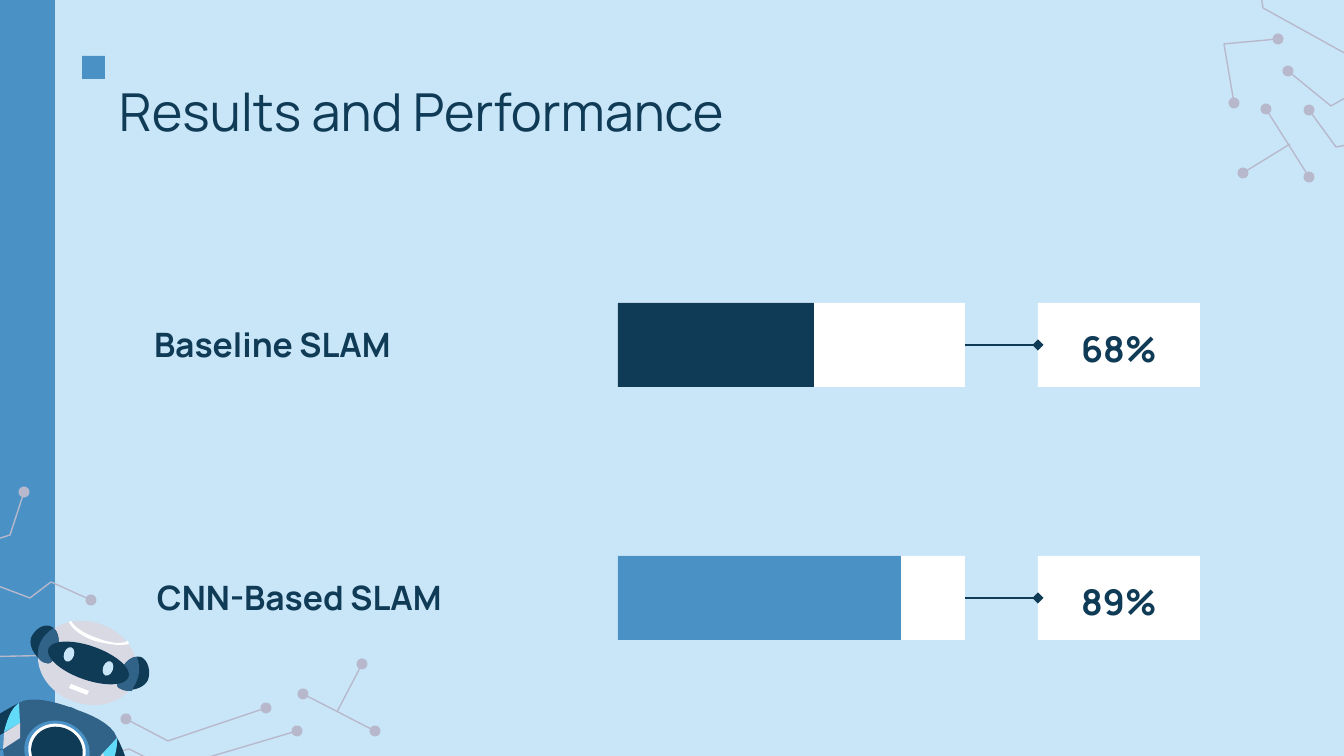
from lxml.etree import SubElement
from pptx import Presentation
from pptx.dml.color import RGBColor
from pptx.enum.shapes import MSO_CONNECTOR, MSO_SHAPE
from pptx.enum.text import MSO_ANCHOR, PP_ALIGN
from pptx.oxml.ns import qn
from pptx.util import Pt

EMU_PER_PX = 914400 / 134.4
NAVY, BLUE, STEEL, CYAN = "103B57", "4A91C6", "316388", "61DBF8"
PALE, GREY, TRACE, WHITE = "C9E6F8", "D9D9E4", "B8B8CC", "FFFFFF"
TILT = 19.4

# Each circuit trace: its points in px and whether its start has a dot.
TRACES = [
    ([(303, 694), (375, 731)], True),
    ([(337, 712), (362, 664)], False),
    ([(-67, 527), (-55, 566), (30, 598), (51, 582), (91, 600)], True),
    ([(-46, 553), (10, 535), (24, 492)], True),
    ([(-90, 689), (-44, 688), (-28, 657), (70, 655), (91, 680)], True),
    ([(126, 719), (168, 741), (266, 708)], True),
    ([(36, 731), (93, 759), (129, 749), (169, 769), (297, 731)], True),
    ([(1309, 177), (1266, 109)], True),
    ([(1290, 144), (1243, 173)], False),
    ([(1410, 253), (1419, 214), (1363, 142), (1336, 147), (1309, 110)], True),
    ([(1375, 81), (1331, 106), (1288, 71)], True),
    ([(1234, 103), (1224, 44), (1278, 39)], True),
    ([(1421, 59), (1379, 38), (1348, 55), (1263, 8), (1258, -24)], True),
]

# Outlines in px: a pair is a straight step, six numbers are a cubic curve.
LEFT_EAR_INNER_EDGE = [(52, 665, 54, 659, 58, 648)]
ARMS = [
    (NAVY, [(19, 703), (19, 703, -52, 739, -36, 754), (-32, 762, -8, 754, 3, 749),
            (4, 733), (7, 721, 11, 707, 19, 703)]),
    (BLUE, [(4, 733), (-36, 754), (-32, 757), (3, 749)]),
    (NAVY, [(117, 738), (117, 742, 114, 757, 109, 769), (126, 812),
            (149, 810, 120, 740, 117, 738)]),
]
EARS = [
    (NAVY, [(58, 648), (60, 638, 58, 629, 50, 626), (43, 624, 35, 629, 31, 638),
            (28, 648, 38, 660, 46, 663)] + LEFT_EAR_INNER_EDGE),
    (NAVY, [(121, 671), (125, 661, 133, 655, 141, 657), (148, 660, 151, 671, 148, 680),
            (144, 689, 129, 692, 121, 689), (114, 687, 118, 680, 121, 671)]),
    (STEEL, [(54, 628), (47, 632, 42, 638, 39, 646), (38, 649, 38, 653, 38, 657),
             (39, 660, 43, 663, 46, 663)] + LEFT_EAR_INNER_EDGE
     + [(60, 640, 58, 633, 54, 628)]),
    (STEEL, [(137, 657), (130, 657, 124, 663, 121, 671), (118, 680, 114, 687, 121, 689),
             (124, 691, 128, 691, 132, 691), (133, 687, 136, 684, 137, 680),
             (140, 673, 140, 666, 137, 657)]),
]
FACE_AND_TORSO = [
    (WHITE, [(128, 641), (122, 644, 112, 644, 97, 638), (82, 633, 74, 626, 71, 621),
             (69, 622), (71, 628, 82, 637, 95, 641), (110, 645, 122, 646, 129, 644)]),
    (WHITE, [(71, 684), (89, 691), (87, 695), (69, 688)]),
    (STEEL, [(77, 710), (73, 708, 71, 707, 69, 707), (58, 703, 31, 695, 19, 703),
             (20, 738), (20, 738, 13, 743, 3, 749), (4, 759, 7, 770, 13, 782),
             (101, 782), (95, 773, 93, 765, 93, 765), (117, 738),
             (113, 723, 86, 713, 77, 710)]),
    (CYAN, [(19, 703), (18, 704, 16, 706, 15, 707), (11, 711, 7, 720, 4, 732), (20, 723)]),
    (GREY, [(20, 723), (4, 733), (3, 749), (20, 738)]),
    (CYAN, [(117, 738), (103, 753), (109, 769), (114, 761, 117, 750, 117, 742)]),
    (GREY, [(103, 753), (93, 765), (101, 782), (109, 769)]),
]


def px(length):
    return round(length * EMU_PER_PX)


def rgb(color):
    return RGBColor.from_string(color)


def paint(shape, color):
    shape.shadow.inherit = False
    shape.fill.solid()
    shape.fill.fore_color.rgb = rgb(color)
    shape.line.fill.background()


def add_block(slide, kind, box, color, tilt=0):
    block = slide.shapes.add_shape(kind, *map(px, box))
    block.rotation = tilt
    paint(block, color)
    return block


def style_line(line_shape, color, head=None, tail=None):
    line_shape.line.color.rgb = rgb(color)
    line_shape.line.width = Pt(0.75)
    ln = line_shape.line._get_or_add_ln()
    for tag, end in (("a:headEnd", head), ("a:tailEnd", tail)):
        if end:
            SubElement(ln, qn(tag)).set("type", end)


def add_straight(slide, start, end, color, head=None, tail=None):
    straight = slide.shapes.add_connector(MSO_CONNECTOR.STRAIGHT, *map(px, start + end))
    style_line(straight, color, head, tail)
    SubElement(straight._element.spPr, qn("a:effectLst"))
    return straight


def build_outline(slide, points, close):
    corners = [(px(x), px(y)) for x, y in points]
    builder = slide.shapes.build_freeform(*corners[0])
    builder.add_line_segments(corners[1:], close=close)
    outline = builder.convert_to_shape()
    outline.shadow.inherit = False
    return outline


def add_trace(slide, points, dotted_start):
    head = "oval" if dotted_start else None
    if len(points) == 2:
        add_straight(slide, *points, TRACE, head, "oval")
        return
    trace = build_outline(slide, points, close=False)
    trace.fill.background()
    style_line(trace, TRACE, head, "oval")


def flatten(steps, pieces=8):
    """Turn straight and cubic steps into a list of points."""
    points = [steps[0]]
    for step in steps[1:]:
        if len(step) == 2:
            points.append(step)
            continue
        controls = [points[-1], step[:2], step[2:4], step[4:]]
        for i in range(1, pieces + 1):
            t = i / pieces
            weights = ((1 - t) ** 3, 3 * t * (1 - t) ** 2, 3 * t * t * (1 - t), t ** 3)
            points.append(tuple(sum(w * c[axis] for w, c in zip(weights, controls))
                                for axis in (0, 1)))
    return points


def add_parts(slide, parts):
    for color, steps in parts:
        paint(build_outline(slide, flatten(steps), close=True), color)


def add_ovals(slide, ovals):
    for box, color in ovals:
        add_block(slide, MSO_SHAPE.OVAL, box, color, TILT)


def add_robot(slide):
    add_parts(slide, ARMS)
    add_ovals(slide, [((37, 622, 101, 82), GREY)])
    add_parts(slide, EARS)
    add_ovals(slide, [((46, 646, 85, 34), NAVY),
                      ((64, 647, 10, 15), PALE), ((103, 661, 10, 15), PALE)])
    add_parts(slide, FACE_AND_TORSO)
    add_ovals(slide, [((24, 721, 66, 60), BLUE), ((28, 724, 58, 53), WHITE),
                      ((31, 727, 52, 48), NAVY)])


def write(shape, text, size, bold=False, anchor=MSO_ANCHOR.TOP,
          align=PP_ALIGN.LEFT, spacing=1.0):
    frame = shape.text_frame
    frame.text = text
    frame.word_wrap = True
    frame.vertical_anchor = anchor
    frame.margin_left = frame.margin_right = px(13)
    frame.margin_top = frame.margin_bottom = px(13)
    paragraph = frame.paragraphs[0]
    paragraph.alignment = align
    paragraph.line_spacing = spacing
    font = paragraph.runs[0].font
    font.name, font.size, font.bold = "Manrope", Pt(size), bold
    font.color.rgb = rgb(NAVY)


def add_result(slide, label, label_at, value, top, filled, color):
    """Add one method's label, progress bar and percentage."""
    label_box = slide.shapes.add_textbox(*map(px, label_at + (468, 63)))
    write(label_box, label, 18, True, MSO_ANCHOR.BOTTOM, spacing=1.15)
    value_box = add_block(slide, MSO_SHAPE.RECTANGLE, (1038, top, 162, 84), WHITE)
    write(value_box, value, 19, True, MSO_ANCHOR.MIDDLE, PP_ALIGN.CENTER, 1.15)
    track = add_block(slide, MSO_SHAPE.RECTANGLE, (618, top, 347, 84), WHITE)
    add_block(slide, MSO_SHAPE.RECTANGLE, (618, top, filled, 84), color)
    link = add_straight(slide, (965, top + 42), (1038, top + 42), NAVY, tail="diamond")
    link.begin_connect(track, 3)
    link.end_connect(value_box, 1)


def main():
    prs = Presentation()
    prs.slide_width, prs.slide_height = px(1344), px(756)
    slide = prs.slides.add_slide(prs.slide_layouts[6])
    slide.background.fill.solid()
    slide.background.fill.fore_color.rgb = rgb(PALE)

    add_block(slide, MSO_SHAPE.RECTANGLE, (0, 0, 55, 760), BLUE)
    for points, dotted_start in TRACES:
        add_trace(slide, points, dotted_start)
    add_block(slide, MSO_SHAPE.RECTANGLE, (82, 56, 23, 23), BLUE)
    add_robot(slide)

    title = slide.shapes.add_textbox(*map(px, (106, 66, 1133, 85)))
    write(title, "Results and Performance", 28)
    add_result(slide, "Baseline SLAM", (141, 314), "68%", 303, 196, NAVY)
    add_result(slide, "CNN-Based SLAM", (144, 567), "89%", 556, 283, BLUE)
    prs.save("out.pptx")


if __name__ == "__main__":
    main()
